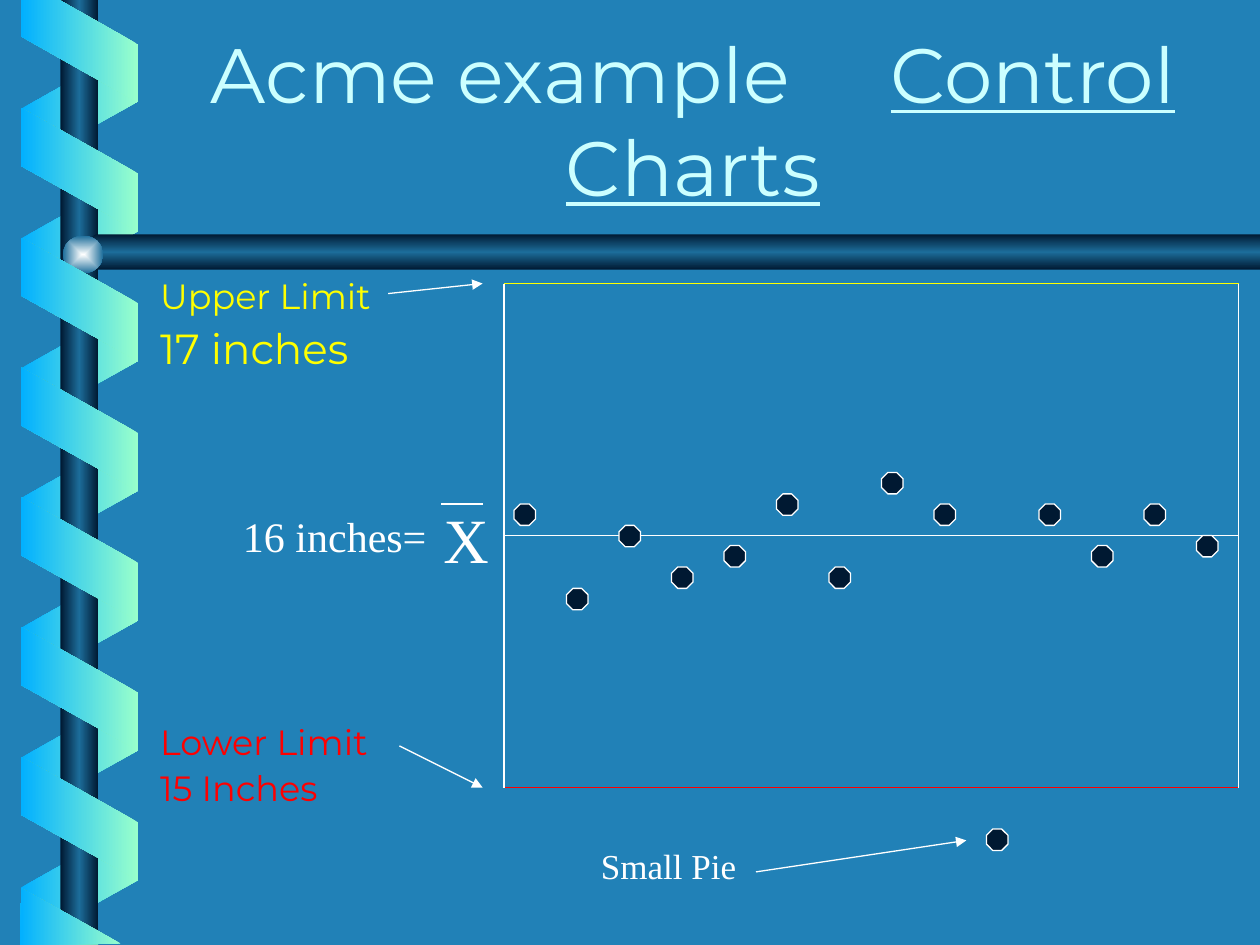
"""Build a control chart slide with a ribbon border."""
import pptx
import pptx.dml.color
import pptx.enum.shapes
import pptx.enum.text
import pptx.oxml
import pptx.oxml.ns
import pptx.util

Inches = pptx.util.Inches
Pt = pptx.util.Pt
RGB = pptx.dml.color.RGBColor
Shape = pptx.enum.shapes.MSO_SHAPE
Align = pptx.enum.text.PP_ALIGN
Anchor = pptx.enum.text.MSO_ANCHOR
Fit = pptx.enum.text.MSO_AUTO_SIZE

BLUE = RGB(0x21, 0x81, 0xB7)
NAVY = RGB(0x00, 0x19, 0x32)
TEAL = RGB(0x1C, 0x6D, 0x9A)
SKY = RGB(0x01, 0xB0, 0xFF)
MINT = RGB(0x99, 0xFF, 0xCC)
PALE = RGB(0xCC, 0xFF, 0xFF)
PEARL = RGB(0xFE, 0xFF, 0xFF)
WHITE = RGB(0xFF, 0xFF, 0xFF)
YELLOW = RGB(0xFF, 0xFF, 0x00)
RED = RGB(0xFF, 0x00, 0x00)

SANS = "Montserrat"
SERIF = "Times New Roman"
LEFT, RIGHT, TOP, MID, LOW = 4, 9.83, 2.25, 4.25, 6.25
PITCH = 1.03
STEP = 5 / 12
DOTS = [4, 4.67, 4.17, 4.5, 4.33, 3.92, 4.5, 3.75, 4, 6.58, 4, 4.33, 4, 4.25]
BAR = [(0, NAVY), (50, TEAL), (100, NAVY)]
BACK = [(0, SKY), (100, MINT)]
FRONT = [(0, MINT), (100, SKY)]


class Board:
    """Hold the style and the current slide."""

    def __init__(self, slide):
        self.slide = slide
        self.shapes = slide.shapes
        self.width = Pt(0.75)

    def node(self, tag, inner="", attrs=""):
        space = pptx.oxml.ns.nsdecls("a")
        return pptx.oxml.parse_xml(f"<a:{tag} {space} {attrs}>{inner}</a:{tag}>")

    def shade(self, shape, stops, angle=None):
        shape.shadow.inherit = False
        shape.line.fill.background()
        shape.fill.background()
        marks = "".join(
            f'<a:gs pos="{pos * 1000}"><a:srgbClr val="{color}"/></a:gs>'
            for pos, color in stops)
        if angle is None:
            way = ('<a:path path="rect"><a:fillToRect l="50000" t="50000" '
                   'r="50000" b="50000"/></a:path>')
        else:
            way = f'<a:lin ang="{angle * 60000}" scaled="0"/>'
        grad = self.node("gradFill", f"<a:gsLst>{marks}</a:gsLst>{way}",
                         'rotWithShape="0"')
        props = shape._element.spPr
        props.replace(props.find(pptx.oxml.ns.qn("a:noFill")), grad)

    def preset(self, kind, box):
        return self.shapes.add_shape(kind, *map(Inches, box))

    def ribbon(self, top, stops, turn, flip=False):
        shape = self.preset(Shape.PARALLELOGRAM, (0.14, top, 0.98, 0.93))
        shape.adjustments[0] = 0.56
        shape.rotation = turn
        if flip:
            shape._element.spPr.xfrm.set("flipH", "1")
        self.shade(shape, stops, 180)

    def outline(self, points, stops, angle):
        spots = [(Inches(x), Inches(y)) for x, y in points]
        build = self.shapes.build_freeform(*spots[0])
        build.add_line_segments(spots[1:], close=True)
        self.shade(build.convert_to_shape(), stops, angle)

    def dot(self, left, top):
        shape = self.preset(Shape.OCTAGON, (left, top, 0.17, 0.17))
        shape.shadow.inherit = False
        shape.fill.solid()
        shape.fill.fore_color.rgb = NAVY
        shape.line.color.rgb = WHITE
        shape.line.width = self.width

    def line(self, start, end, color=WHITE, arrow=False):
        kind = pptx.enum.shapes.MSO_CONNECTOR.STRAIGHT
        link = self.shapes.add_connector(kind, *map(Inches, start + end))
        link.line.color.rgb = color
        link.line.width = self.width
        if arrow:
            link.line._get_or_add_ln().append(self.node("tailEnd", "", 'type="triangle"'))
        link._element.spPr.append(self.node("effectLst"))

    def style(self, para, font, size, color):
        for run in para.runs:
            run.font.name = font
            run.font.size = Pt(size)
            run.font.color.rgb = color

    def label(self, text, box, size):
        frame = self.shapes.add_textbox(*map(Inches, box)).text_frame
        frame.word_wrap = True
        frame.text = text
        self.style(frame.paragraphs[0], SERIF, size, WHITE)

    def place(self, holder, box):
        holder.left, holder.top, holder.width, holder.height = map(Inches, box)
        holder.text_frame.auto_size = Fit.NONE
        return holder.text_frame

    def title(self, parts, box):
        frame = self.place(self.shapes.title, box)
        frame.vertical_anchor = Anchor.BOTTOM
        para = frame.paragraphs[0]
        para.alignment = Align.CENTER
        for text in (parts[0], " ", parts[1]):
            para.add_run().text = text
        self.style(para, SANS, 44, PALE)
        para.runs[1].font._element.set("spc", "4600")
        para.runs[2].font.underline = True

    def body(self, items, box):
        frame = self.place(self.slide.placeholders[1], box)
        frame.text = "\n".join(item[0] for item in items)
        for para, (text, size, color, gap) in zip(frame.paragraphs, items):
            para.line_spacing = 0.9
            para.space_before = Pt(gap)
            para._element.get_or_add_pPr().append(self.node("buNone"))
            self.style(para, SANS, size, color)


def main():
    deck = pptx.Presentation()
    deck.slide_width, deck.slide_height = Inches(10), Inches(7.5)
    slide = deck.slides.add_slide(deck.slide_layouts[1])
    slide.background.fill.solid()
    slide.background.fill.fore_color.rgb = BLUE
    board = Board(slide)

    for row in range(7):
        board.ribbon(0.37 + row * PITCH, BACK, 90, True)
    board.shade(board.preset(Shape.RECTANGLE, (0.48, 0, 0.3, 7.5)), BAR, 180)
    board.outline([(10, 1.86), (0.76, 1.86), (0.6, 2), (0.76, 2.14), (10, 2.14)], BAR, 90)
    board.shade(board.preset(Shape.OVAL, (0.5, 1.87, 0.32, 0.3)), [(0, PEARL), (100, TEAL)])
    for row in range(6):
        board.ribbon(0.88 + row * PITCH, FRONT, 270)
    board.outline([(0.17, 0), (0.17, 0.29), (1.09, 0.81), (1.09, 0.35), (0.47, 0)], FRONT, 180)
    board.outline([(0.96, 7.49), (0.17, 7.05), (0.16, 7.5)], FRONT, 180)

    board.title(("Acme example", "Control Charts"), (1.25, 0.16, 8.5, 1.57))
    board.body([("Upper Limit", 20, YELLOW, 0), ("17 inches", 24, YELLOW, 6),
                ("Lower Limit", 20, RED, 201), ("15 Inches", 20, RED, 5)],
               (1.17, 2.17, 8.58, 4.5))

    for start, end, color in [
            ((LEFT, 6), (LEFT, TOP), WHITE), ((LEFT, TOP), (RIGHT, TOP), YELLOW),
            ((LEFT, 6.08), (LEFT, LOW), WHITE), ((LEFT, LOW), (RIGHT, LOW), RED),
            ((RIGHT, TOP), (RIGHT, LOW), WHITE), ((RIGHT, MID), (LEFT, MID), WHITE),
            ((LEFT, 5.75), (LEFT, LOW), WHITE), ((3.5, 4), (3.83, 4), WHITE)]:
        board.line(start, end, color)
    for col, top in enumerate(DOTS):
        board.dot(4.08 + col * STEP, top)
    for start, end in [((6, 6.92), (7.67, 6.67)), ((3.08, 2.33), (3.83, TOP)),
                       ((3.17, 5.92), (3.83, LOW))]:
        board.line(start, end, arrow=True)

    board.label("Small Pie", (4.67, 6.65, 1.92, 0.44), 20)
    board.label("X", (3.42, 3.92, 1, 0.7), 36)
    board.label("16 inches=", (1.83, 4, 1.75, 0.5), 24)
    deck.save("out.pptx")


if __name__ == "__main__":
    main()
